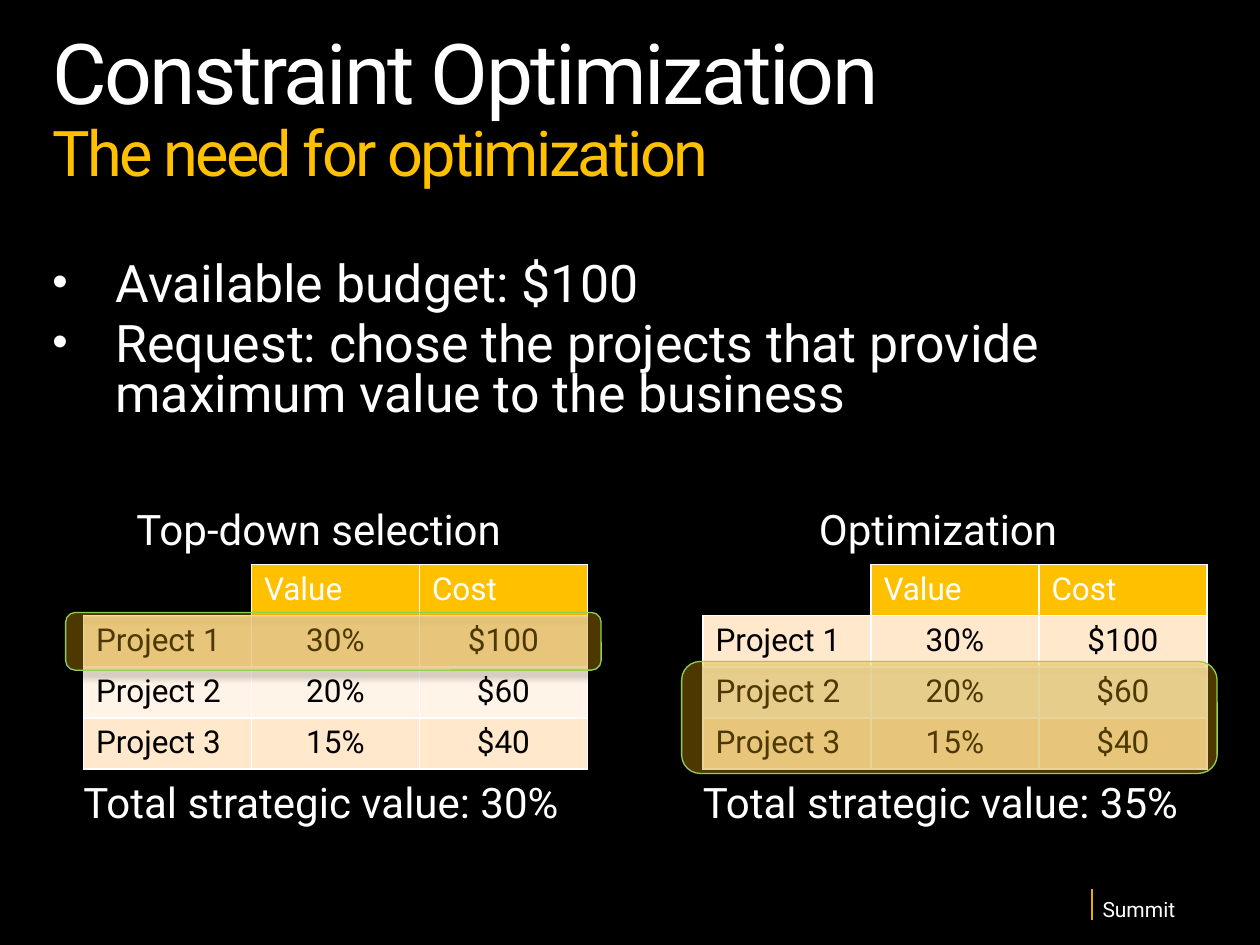
from dataclasses import dataclass

from lxml.etree import SubElement
from pptx import Presentation
from pptx.dml.color import RGBColor
from pptx.enum.shapes import MSO_CONNECTOR as Connector, MSO_SHAPE as Shape
from pptx.enum.text import MSO_ANCHOR as Anchor, PP_ALIGN as Align
from pptx.oxml import parse_xml
from pptx.oxml.ns import nsdecls, qn
from pptx.util import Pt


@dataclass(frozen=True)
class Theme:
    font: str = "Roboto"
    black: str = "000000"
    white: str = "FFFFFF"
    gold: str = "FFC000"
    rule: str = "E7AE00"
    outline: str = "92D050"
    bands: tuple = ("FFE8CC", "FFF4E7")
    title: float = 48
    subtitle: float = 36
    body: float = 29.6
    caption: float = 24
    cell: float = 18
    footer: float = 12


THEME = Theme()
PROJECTS = [
    ("", "Value", "Cost"),
    ("Project 1", "30%", "$100"),
    ("Project 2", "20%", "$60"),
    ("Project 3", "15%", "$40"),
]
COLUMN_WIDTH, ROW_HEIGHT, TABLE_TOP = 96, 29.2, 322.6


def rgb(value):
    return RGBColor.from_string(value)


def write(paragraph, text, size=THEME.caption, color=THEME.white,
          line_spacing=None, align=None, tracking=None):
    """Add a formatted run to a paragraph."""
    run = paragraph.add_run()
    run.text = text
    run.font.name = THEME.font
    run.font.size = Pt(size)
    run.font.color.rgb = rgb(color)
    if line_spacing:
        paragraph.line_spacing = line_spacing
    if align is not None:
        paragraph.alignment = align
    if tracking:
        run.font._element.set("spc", str(int(tracking * 100)))


def clear_margins(frame):
    frame.margin_left = frame.margin_right = 0
    frame.margin_top = frame.margin_bottom = 0
    frame.vertical_anchor = Anchor.TOP
    frame.word_wrap = True


def add_text_area(slide, left, top, width, height):
    frame = slide.shapes.add_textbox(Pt(left), Pt(top), Pt(width), Pt(height)).text_frame
    clear_margins(frame)
    return frame


def add_label(slide, text, left, top, width, height=28.8, **text_format):
    frame = add_text_area(slide, left, top, width, height)
    write(frame.paragraphs[0], text, **text_format)


def add_title(slide, heading, subheading):
    title = slide.shapes.title
    title.left, title.top, title.width, title.height = Pt(30), Pt(18), Pt(660), Pt(91.5)
    clear_margins(title.text_frame)
    paragraph = title.text_frame.paragraphs[0]
    write(paragraph, heading, size=THEME.title, tracking=-1.5,
          line_spacing=0.9, align=Align.LEFT)
    paragraph.add_line_break()
    write(paragraph, subheading, size=THEME.subtitle, color=THEME.gold, tracking=-1.5)


def add_bullets(slide, points):
    frame = add_text_area(slide, 30, 150, 660, 102)
    for index, point in enumerate(points):
        paragraph = frame.add_paragraph() if index else frame.paragraphs[0]
        write(paragraph, point, size=THEME.body, line_spacing=0.8)
        paragraph.space_before = Pt(6)
        properties = paragraph._p.get_or_add_pPr()
        properties.set("marL", str(Pt(36)))
        properties.set("indent", str(-Pt(36)))
        SubElement(properties, qn("a:buSzPct"), val="85000")
        SubElement(properties, qn("a:buFont"), typeface="Arial")
        SubElement(properties, qn("a:buChar"), char="•")


def set_borders(cell, hidden=""):
    """Draw white cell borders, leaving out the sides named in hidden."""
    properties = cell._tc.get_or_add_tcPr()
    for side in "LRTB":
        border = SubElement(properties, qn(f"a:ln{side}"), w=str(Pt(1)))
        if side in hidden:
            SubElement(border, qn("a:noFill"))
        else:
            fill = SubElement(border, qn("a:solidFill"))
            SubElement(fill, qn("a:srgbClr"), val=THEME.white)


def add_project_table(slide, left):
    rows, columns = len(PROJECTS), len(PROJECTS[0])
    table = slide.shapes.add_table(
        rows, columns, Pt(left), Pt(TABLE_TOP),
        Pt(columns * COLUMN_WIDTH), Pt(rows * ROW_HEIGHT)).table
    table.first_row = table.horz_banding = False
    for column in table.columns:
        column.width = Pt(COLUMN_WIDTH)
    for r, project in enumerate(PROJECTS):
        table.rows[r].height = Pt(ROW_HEIGHT)
        for c, value in enumerate(project):
            cell = table.cell(r, c)
            set_borders(cell, hidden="" if value else "LT")
            if not value:
                cell.fill.background()
                continue
            cell.fill.solid()
            cell.fill.fore_color.rgb = rgb(THEME.bands[(r - 1) % 2] if r else THEME.gold)
            write(cell.text_frame.paragraphs[0], value, size=THEME.cell,
                  color=THEME.black if r else THEME.white,
                  align=Align.CENTER if r and c else Align.LEFT)


def add_highlight(slide, left, top, width, height):
    """Mark the chosen rows with a see-through rounded box."""
    box = slide.shapes.add_shape(Shape.ROUNDED_RECTANGLE,
                                 Pt(left), Pt(top), Pt(width), Pt(height))
    box.fill.solid()
    box.fill.fore_color.rgb = rgb(THEME.gold)
    tint = box._element.spPr.find(qn("a:solidFill")).find(qn("a:srgbClr"))
    SubElement(tint, qn("a:alpha"), val="30000")
    box.line.color.rgb = rgb(THEME.outline)
    box.line.width = Pt(0.75)
    box._element.spPr.append(parse_xml(
        f'<a:effectLst {nsdecls("a")}><a:outerShdw blurRad="{Pt(4)}" dist="{Pt(3)}" '
        f'dir="5400000" rotWithShape="0"><a:srgbClr val="{THEME.black}">'
        '<a:alpha val="43000"/></a:srgbClr></a:outerShdw></a:effectLst>'))


def add_footer(slide, name):
    rule = slide.shapes.add_connector(Connector.STRAIGHT, Pt(624), Pt(508), Pt(624), Pt(526))
    rule.line.color.rgb = rgb(THEME.rule)
    rule.line.width = Pt(1.25)
    SubElement(rule._element.spPr, qn("a:effectLst"))
    add_label(slide, name, 630, 514, 60, 13, size=THEME.footer, line_spacing=0.9)


def main():
    deck = Presentation()
    deck.slide_width, deck.slide_height = Pt(720), Pt(540)
    slide = deck.slides.add_slide(deck.slide_layouts[5])
    slide.background.fill.solid()
    slide.background.fill.fore_color.rgb = rgb(THEME.black)

    # Footer, title and the task
    add_footer(slide, "Summit")
    add_title(slide, "Constraint Optimization", "The need for optimization")
    add_bullets(slide, [
        "Available budget: $100",
        "Request: chose the projects that provide maximum value to the business",
    ])

    # The two ways of selecting projects
    table_lefts = (47.7, 401.7)
    for left in table_lefts:
        add_project_table(slide, left)
    add_highlight(slide, 37.5, 350, 306, 33)
    add_highlight(slide, 389.5, 378, 306, 64)

    # Headings and totals
    add_label(slide, "Top-down selection", 78, 288, 210)
    add_label(slide, "Optimization", 468, 288, 210)
    for left, total in zip(table_lefts, ("30%", "35%")):
        add_label(slide, f"Total strategic value: {total}", left, 443.5, 288)

    deck.save("out.pptx")


if __name__ == "__main__":
    main()
